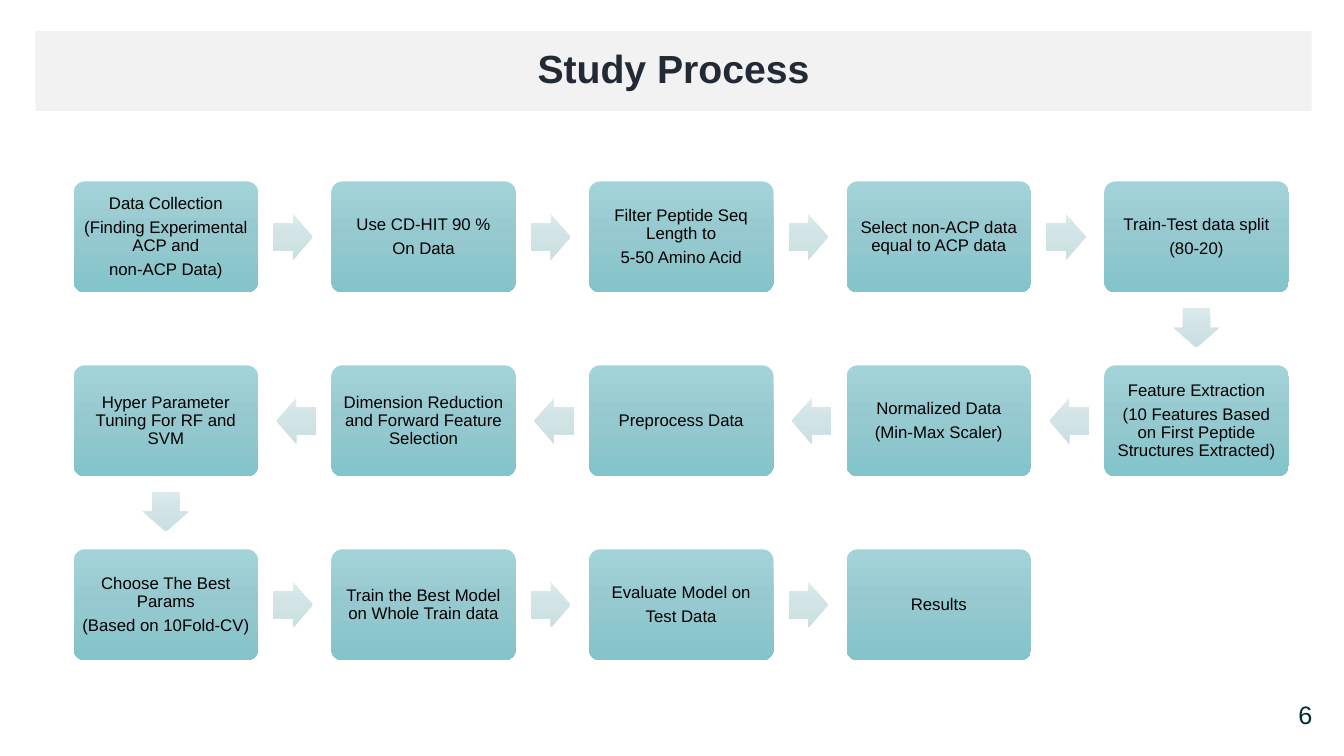
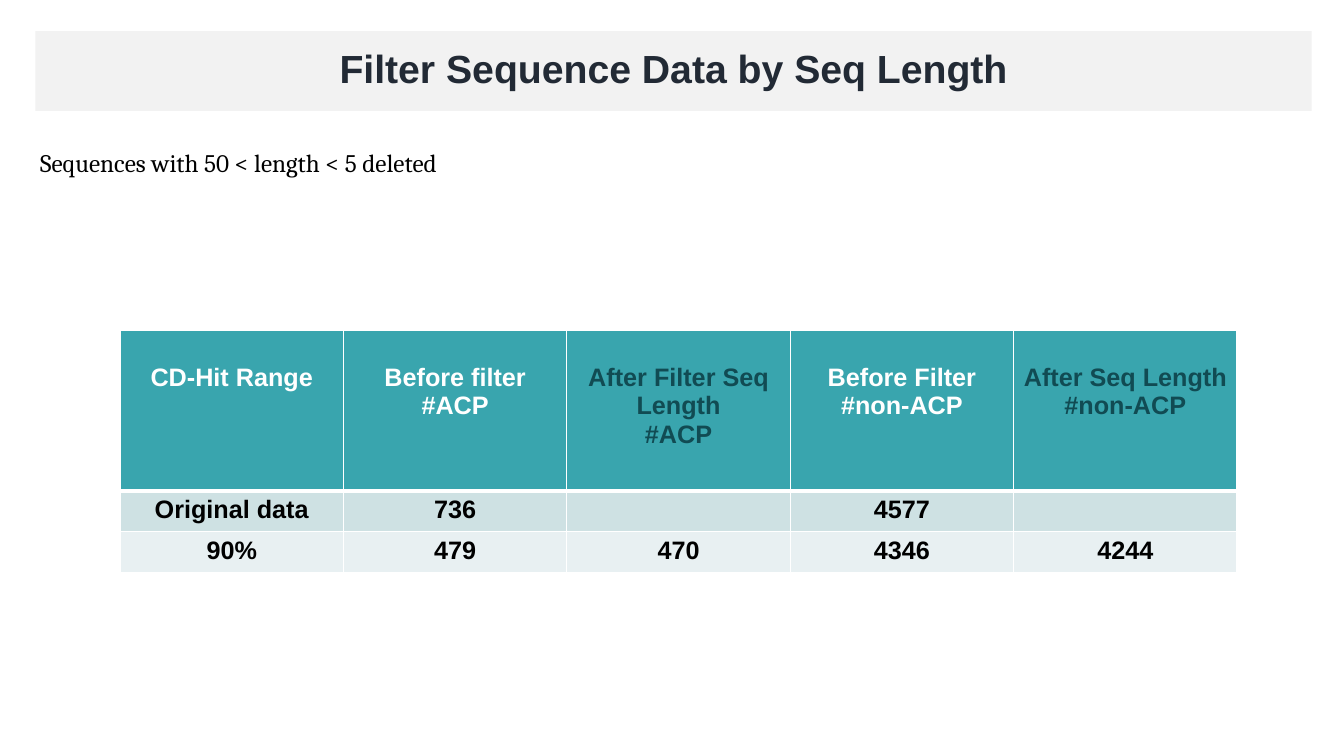
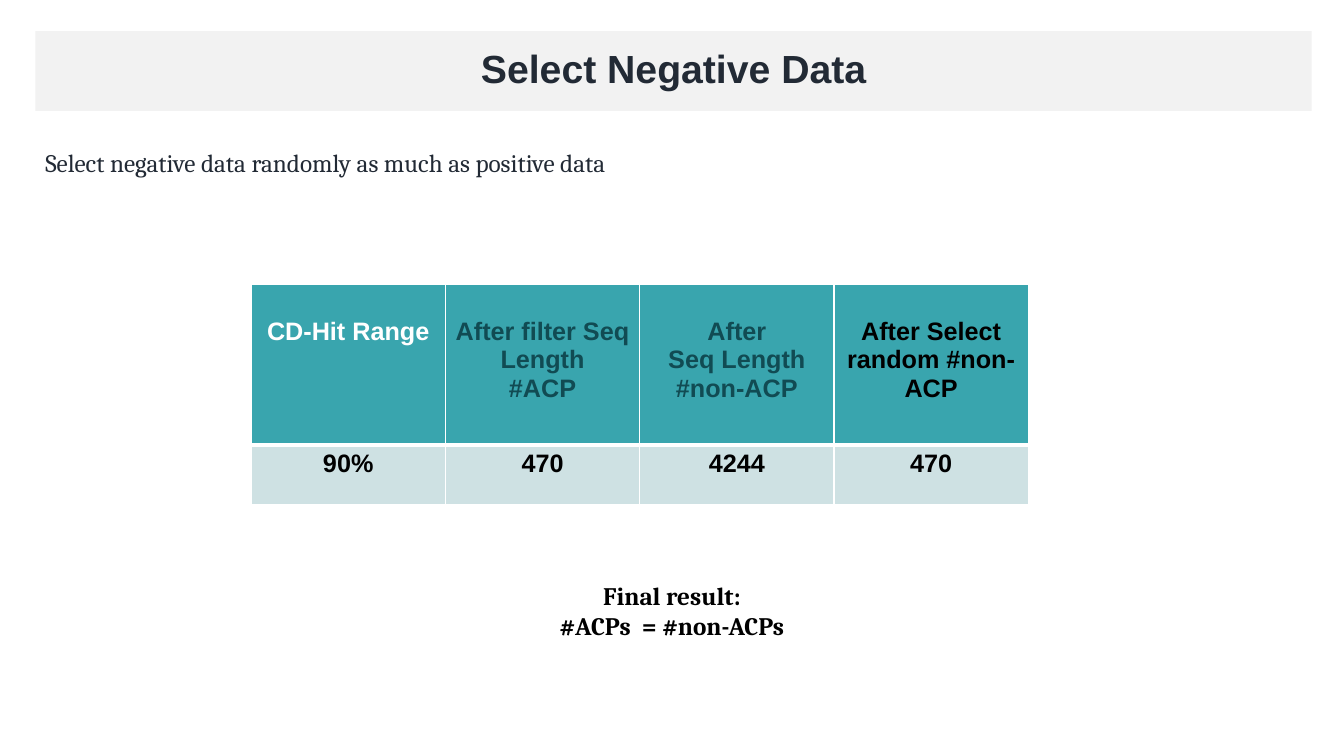
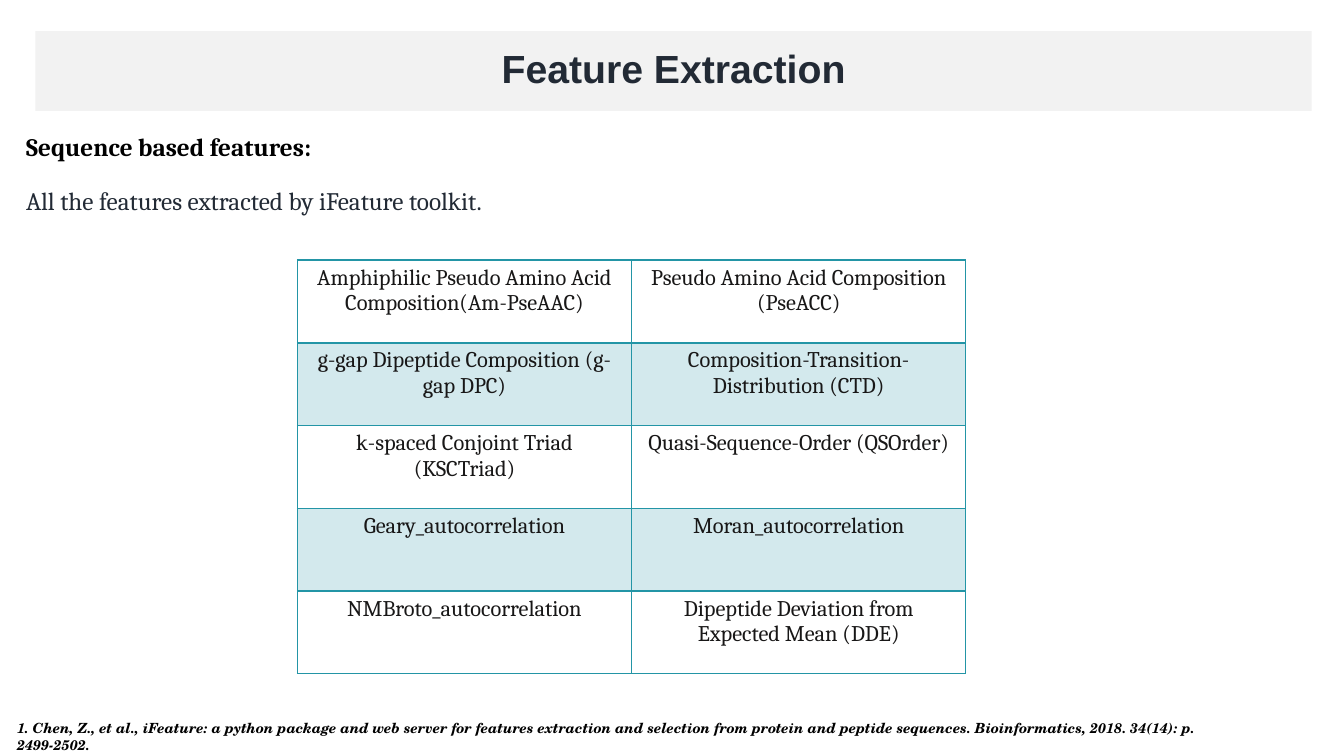
from lxml.etree import SubElement
from pptx import Presentation
from pptx.dml.color import RGBColor
from pptx.enum.shapes import MSO_SHAPE as Preset
from pptx.enum.text import MSO_ANCHOR as Anchor, PP_ALIGN as Align
from pptx.oxml.ns import qn
from pptx.util import Inches, Pt

COLOURS = {
    "band": "F2F2F2", "title": "222A35", "number": "012D2C", "black": "000000",
    "white": "FFFFFF", "header": "39A5AE", "muted": "114B53", "row": "CEE1E3",
    "pale row": "E8F0F2", "line": "2395A6", "tint": "D3E9ED", "feature": "181717",
}
STEP_GRADIENT = ["A2D3D9", "96C9CF", "82C4CB"]
ARROW_GRADIENT = ["DCEAEC", "D0E3E5", "C9E0E3"]

STEPS = [
    "Data Collection\n(Finding Experimental ACP and\nnon-ACP Data)",
    "Use CD-HIT 90 %\nOn Data",
    "Filter Peptide Seq Length to\n5-50 Amino Acid",
    "Select non-ACP data equal to ACP data",
    "Train-Test data split\n(80-20)",
    "Feature Extraction\n(10 Features Based on First Peptide Structures Extracted)",
    "Normalized Data\n(Min-Max Scaler)",
    "Preprocess Data",
    "Dimension Reduction and Forward Feature Selection",
    "Hyper Parameter Tuning For RF and SVM",
    "Choose The Best Params\n(Based on 10Fold-CV)",
    "Train the Best Model on Whole Train data",
    "Evaluate Model on\nTest Data",
    "Results",
]


class Deck:
    """Holds the style and the current slide; lengths are percentages of the slide."""

    def __init__(self):
        self.presentation = Presentation()
        self.presentation.slide_width = Inches(13.33)
        self.presentation.slide_height = Inches(7.5)
        self.slide = None

    def across(self, percent):
        """Turn a percentage of the slide's width into a length."""
        return round(self.presentation.slide_width * percent / 100)

    def down(self, percent):
        """Turn a percentage of the slide's height into a length."""
        return round(self.presentation.slide_height * percent / 100)

    def place(self, left, top, width, height):
        """Turn four percentages into a position and a size."""
        return self.across(left), self.down(top), self.across(width), self.down(height)

    def set_text(self, frame, text, colour="black", size=18, font="Cambria", bold=False,
                 italic=False, align=Align.LEFT, line=1.0, before=0, after=0):
        """Set each line of the text as a paragraph in one style."""
        frame.word_wrap = True
        frame.text = text
        for paragraph in frame.paragraphs:
            paragraph.alignment = align
            paragraph.line_spacing = line
            paragraph.space_before, paragraph.space_after = Pt(before), Pt(after)
            paragraph.font.name, paragraph.font.size = font, Pt(size)
            paragraph.font.bold, paragraph.font.italic = bold, italic
            paragraph.font.color.rgb = RGBColor.from_string(COLOURS[colour])

    def paint(self, fill, colour):
        """Fill with a named colour, or with nothing."""
        if colour:
            fill.solid()
            fill.fore_color.rgb = RGBColor.from_string(COLOURS[colour])
        else:
            fill.background()

    def shape(self, preset, box):
        """Add a preset shape without line or shadow."""
        shape = self.slide.shapes.add_shape(preset, *self.place(*box))
        shape.shadow.inherit = False
        shape.line.fill.background()
        return shape

    def shade(self, shape, colours):
        """Fill a shape with an even gradient from top to bottom."""
        shape.fill.gradient()
        shape.fill.gradient_angle = 270
        stops = shape.element.spPr.find(".//" + qn("a:gsLst"))
        stops.clear()
        for index, colour in enumerate(colours):
            position = 100000 * index // (len(colours) - 1)
            stop = SubElement(stops, qn("a:gs"), pos=str(position))
            SubElement(stop, qn("a:srgbClr"), val=colour)

    def page(self, title):
        """Start a slide with its title band."""
        self.slide = self.presentation.slides.add_slide(self.presentation.slide_layouts[6])
        band = self.shape(Preset.RECTANGLE, (2.63, 4.13, 94.97, 10.53))
        self.paint(band.fill, "band")
        band.text_frame.vertical_anchor = Anchor.MIDDLE
        self.set_text(band.text_frame, title, "title", 28, "Arial", bold=True,
                      align=Align.CENTER, line=0.9, before=10)

    def text(self, box, text, **style):
        """Add a text box."""
        self.set_text(self.slide.shapes.add_textbox(*self.place(*box)).text_frame, text, **style)

    def step(self, box, text):
        """Add one step of the process."""
        shape = self.shape(Preset.ROUNDED_RECTANGLE, box)
        shape.adjustments[0] = 0.1
        self.shade(shape, STEP_GRADIENT)
        frame = shape.text_frame
        frame.vertical_anchor = Anchor.MIDDLE
        frame.margin_left = frame.margin_right = Inches(0.05)
        frame.margin_top = frame.margin_bottom = Inches(0.05)
        self.set_text(frame, text, size=12, font="Arial", align=Align.CENTER, line=0.9, after=4.2)

    def arrow(self, start, end):
        """Add a block arrow a little short of halfway between two step centres."""
        x, y = (a + (b - a) * 49.4 / 100 for a, b in zip(start, end))
        if start[0] == end[0]:
            preset, width, height = Preset.DOWN_ARROW, 3.38, 5.2
        else:
            preset = Preset.RIGHT_ARROW if start[0] < end[0] else Preset.LEFT_ARROW
            width, height = 2.93, 6
        shape = self.shape(preset, (x - width / 2, y - height / 2, width, height))
        shape.adjustments[0], shape.adjustments[1] = 0.6, 0.5
        self.shade(shape, ARROW_GRADIENT)

    def process(self, steps, columns=5):
        """Lay the steps out in rows that run to and fro, joined by arrows."""
        width, height = 13.73, 14.67
        previous = None
        for index, text in enumerate(steps):
            row, column = divmod(index, columns)
            if row % 2:
                column = columns - 1 - column
            left, top = 5.48 + 19.17 * column, 24 + 24.33 * row
            centre = left + width / 2, top + height / 2
            if previous:
                self.arrow(previous, centre)
            self.step((left, top, width, height), text)
            previous = centre

    def border(self, cell, colour, top, bottom):
        """Draw the four sides of a cell."""
        properties = cell._tc.get_or_add_tcPr()
        sides = {"a:lnL": 1, "a:lnR": 1, "a:lnT": top, "a:lnB": bottom}
        for index, (side, width) in enumerate(sides.items()):
            line = SubElement(properties, qn(side), w=str(Pt(width)))
            fill = SubElement(line, qn("a:solidFill"))
            SubElement(fill, qn("a:srgbClr"), val=COLOURS[colour])
            properties.insert(index, line)

    def table(self, left, top, width, heights, rows, fills, header_colours, colour="black",
              line="white", rule=3, lead=0.05, **style):
        """Add a table of equal columns with a heavier rule under its first row."""
        columns = len(rows[0])
        box = self.place(left, top, width, sum(heights))
        table = self.slide.shapes.add_table(len(rows), columns, *box).table
        table.first_row = table.horz_banding = False
        for index, texts in enumerate(rows):
            table.rows[index].height = self.down(heights[index])
            colours = [colour] * columns if index else header_colours
            for column, text in enumerate(texts):
                cell = table.cell(index, column)
                self.set_text(cell.text_frame, text, colours[column], align=Align.CENTER, **style)
                self.paint(cell.fill, fills[index])
                self.border(cell, line, rule if index == 1 else 1, 1 if index else rule)
                if index == 0:
                    cell.margin_top = Inches(lead)


def main():
    """Build the four slides."""
    deck = Deck()

    deck.page("Study Process")
    deck.process(STEPS)
    deck.text((95.87, 91.87, 3.38, 5.33), "6", colour="number", font="Arial")

    counts = {"font": "Arial", "bold": True, "lead": 0.33}
    deck.page("Filter Sequence Data by Seq Length")
    deck.text((2.25, 18.8, 42.91, 5.33), "Sequences with 50 < length < 5 deleted")
    deck.table(8.93, 43.73, 83.12, [21.2, 5.4, 5.4], [
        ["CD-Hit Range", "Before filter #ACP", "After Filter Seq Length\n#ACP",
         "Before Filter\n#non-ACP", "After Seq Length\n#non-ACP"],
        ["Original data", "736", "", "4577", ""],
        ["90%", "479", "470", "4346", "4244"],
    ], ["header", "row", "pale row"], ["white", "white", "muted", "white", "muted"], **counts)

    deck.page("Select Negative Data")
    deck.text((2.63, 18.8, 66.84, 5.33),
              "Select negative data randomly as much as positive data", colour="title")
    deck.table(18.68, 37.65, 57.84, [21.2, 7.87], [
        ["CD-Hit Range", "After filter Seq Length\n#ACP", "After\nSeq Length\n#non-ACP",
         "After Select random #non-ACP"],
        ["90%", "470", "4244", "470"],
    ], ["header", "row"], ["white", "muted", "muted", "black"], **counts)
    deck.text((17.25, 76.13, 65.49, 9.47), "Final result:\n#ACPs  = #non-ACPs",
              bold=True, align=Align.CENTER)

    deck.page("Feature Extraction")
    deck.text((1.2, 16.67, 52.74, 5.33), "Sequence based features:", bold=True)
    deck.text((1.2, 23.87, 66.84, 5.33), "All the features extracted by iFeature toolkit.",
              colour="title")
    deck.table(22.13, 34.4, 49.74, [10.95] * 5, [
        ["Amphiphilic Pseudo Amino Acid Composition(Am-PseAAC)",
         "Pseudo Amino Acid Composition (PseACC)"],
        ["g-gap Dipeptide Composition (g-gap DPC)", "Composition-Transition-Distribution (CTD)"],
        ["k-spaced Conjoint Triad (KSCTriad)", "Quasi-Sequence-Order (QSOrder)"],
        ["Geary_autocorrelation", "Moran_autocorrelation"],
        ["NMBroto_autocorrelation", "Dipeptide Deviation from Expected Mean (DDE)"],
    ], [None, "tint", None, "tint", None], ["feature"] * 2, "feature", "line", rule=2, size=16)
    deck.text((0.53, 94.53, 90.77, 5.87),
              "1. Chen, Z., et al., iFeature: a python package and web server for features "
              "extraction and selection from protein and peptide sequences. "
              "Bioinformatics, 2018. 34(14): p. 2499-2502.",
              size=10, font="TeX Gyre Schola", bold=True, italic=True)

    deck.presentation.save("out.pptx")


if __name__ == "__main__":
    main()
